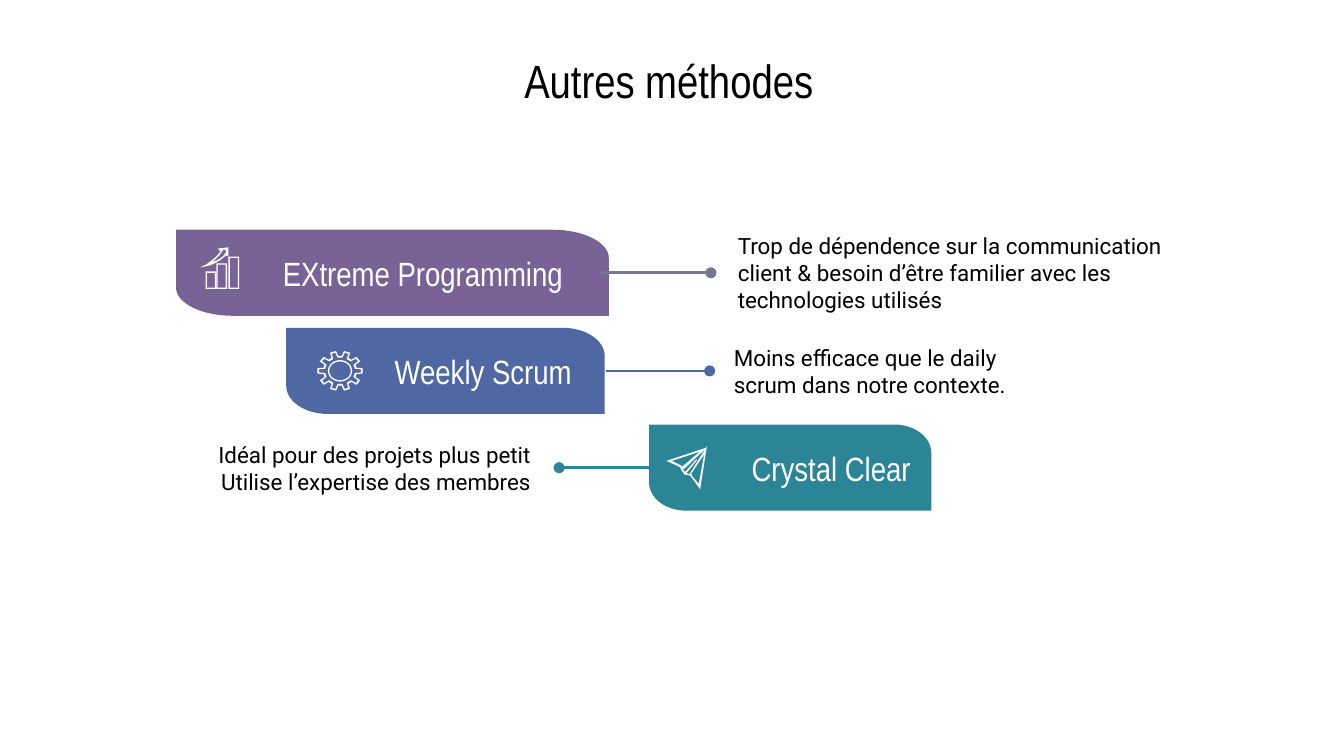
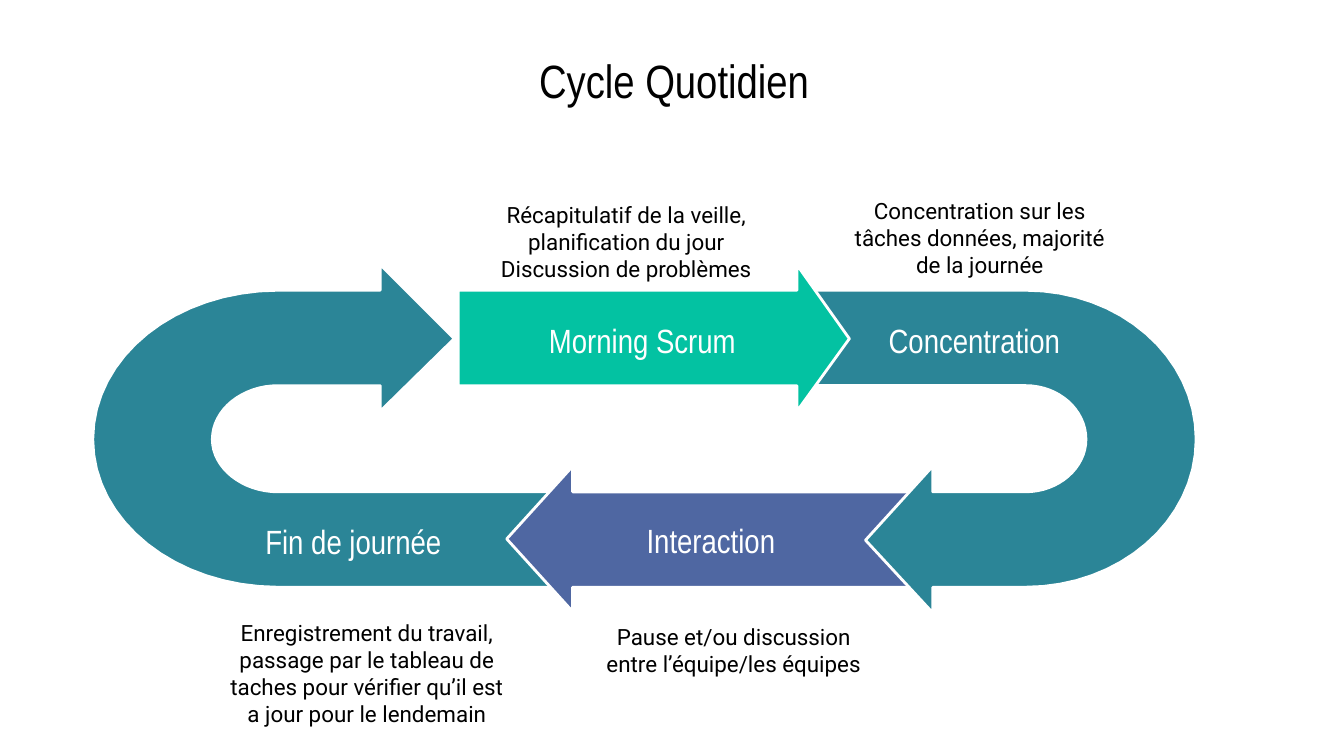
"""Build two slides: other agile methods and the daily work cycle."""
from copy import deepcopy
from math import cos, radians, sin

from lxml import etree
from pptx import Presentation
from pptx.dml.color import RGBColor
from pptx.enum.shapes import MSO_CONNECTOR, MSO_SHAPE
from pptx.enum.text import MSO_ANCHOR, MSO_AUTO_SIZE, PP_ALIGN
from pptx.oxml.ns import qn
from pptx.util import Inches, Pt

LEFT, CENTER, RIGHT = PP_ALIGN.LEFT, PP_ALIGN.CENTER, PP_ALIGN.RIGHT
TOP, MIDDLE = MSO_ANCHOR.TOP, MSO_ANCHOR.MIDDLE
ROUNDED, STRAIGHT = MSO_SHAPE.ROUNDED_RECTANGLE, MSO_CONNECTOR.STRAIGHT
NO_AUTOFIT = MSO_AUTO_SIZE.NONE

COLORS = {
    "black": "000000",
    "white": "FFFFFF",
    "purple": "796295",
    "mauve": "777693",
    "blue": "4F67A2",
    "teal": "2B8597",
    "green": "03C2A2",
}
HEADING, BODY = "Arial Narrow", "Roboto"
TITLE_BOX = (0.53, 0.33, 8.97, 0.53)


def write(shape, text, font=BODY, size=12, color="black", align=CENTER,
          anchor=MIDDLE, indent=0.1):
    frame = shape.text_frame
    frame.word_wrap = True
    frame.auto_size = NO_AUTOFIT
    frame.vertical_anchor = anchor
    frame.margin_left = Inches(indent)
    frame.margin_right = frame.margin_top = frame.margin_bottom = Inches(0.1)
    paragraph = frame.paragraphs[0]
    paragraph.text = text
    paragraph.alignment = align
    for run in paragraph.runs:
        run.font.name = font
        run.font.size = Pt(size)
        run.font.color.rgb = RGBColor.from_string(COLORS[color])
    for line_break in paragraph._p.findall(qn("a:br")):
        line_break.append(deepcopy(paragraph.runs[0]._r.rPr))


def draw_outline(slide, contours, fill, border=None):
    """Draw closed contours; a step holds a point or the six numbers of a Bézier curve."""
    builder = None
    for start, *steps in contours:
        points, pen = [], start
        for step in steps:
            if len(step) == 2:
                points.append(step)
            else:
                knots = (pen, step[:2], step[2:4], step[4:])
                for i in range(1, 17):
                    t = i / 16
                    weights = ((1 - t) ** 3, 3 * t * (1 - t) ** 2, 3 * t * t * (1 - t), t ** 3)
                    points.append([sum(w * k[axis] for w, k in zip(weights, knots))
                                   for axis in (0, 1)])
            pen = step[-2:]
        origin = [Inches(v) for v in start]
        if builder is None:
            builder = slide.shapes.build_freeform(*origin, scale=1.0)
        else:
            builder.move_to(*origin)
        builder.add_line_segments([(Inches(x), Inches(y)) for x, y in points], close=True)
    shape = builder.convert_to_shape()
    shape.shadow.inherit = False
    shape.fill.solid()
    shape.fill.fore_color.rgb = RGBColor.from_string(COLORS[fill])
    if border:
        shape.line.color.rgb = RGBColor.from_string(COLORS[border])
        shape.line.width = Pt(1.5)
    else:
        shape.line.fill.background()


deck = Presentation()
deck.slide_width = Inches(10)
deck.slide_height = deck.slide_width * 9 // 16
slides = []
for heading in ("Autres méthodes ", "Cycle Quotidien"):
    slide = deck.slides.add_slide(deck.slide_layouts[5])
    title = slide.shapes.title
    title.left, title.top, title.width, title.height = [Inches(v) for v in TITLE_BOX]
    write(title, heading, font=HEADING, size=25)
    slides.append(slide)
methods, cycle = slides

bars = []
for left, top in ((1.7, 1.91), (1.61, 1.96), (1.53, 2.02)):
    bars.append([
        [(x, y), (x, bottom), (right, bottom), (right, y)]
        for x, y, right, bottom in (
            (left, top, left + 0.08, 2.15),
            (left + 0.01, top + 0.01, left + 0.07, 2.14),
        )
    ])
growth_arrow = [
    [(1.68, 1.86), (1.68, 1.88), (1.67, 1.89), (1.67, 1.9, 1.64, 1.93, 1.58, 1.95),
     (1.6, 1.93, 1.64, 1.9, 1.65, 1.87), (1.66, 1.87), (1.65, 1.86)],
    [(1.7, 1.84), (1.62, 1.85), (1.64, 1.87), (1.61, 1.92, 1.53, 1.97, 1.53, 1.97),
     (1.49, 1.99), (1.54, 1.98), (1.62, 1.96, 1.67, 1.91, 1.68, 1.9), (1.7, 1.91)],
]

gear = []
for tip, root, tip_half, root_half in ((1, 0.74, 8, 12), (0.92, 0.66, 5, 9)):
    corners = ((root, -root_half), (tip, -tip_half), (tip, tip_half), (root, root_half))
    gear.append([
        (2.53 + 0.17 * radius * sin(radians(tooth + offset)),
         2.76 - 0.15 * radius * cos(radians(tooth + offset)))
        for tooth in range(18, 360, 36) for radius, offset in corners
    ])
for rx, ry in ((0.09, 0.08), (0.08, 0.07)):
    gear.append([(2.53 + rx * cos(radians(a)), 2.76 + ry * sin(radians(a)))
                 for a in range(0, 360, 10)])

plane = [
    [[(5.26, 3.33), (4.96, 3.43), (5.09, 3.49)], [(5.21, 3.36), (5.08, 3.47), (5, 3.43)]],
    [[(5.26, 3.32), (5.13, 3.53), (5.21, 3.64)], [(5.24, 3.38), (5.2, 3.6), (5.14, 3.53)]],
    [[(5.07, 3.47), (5.06, 3.48), (5.09, 3.53), (5.14, 3.54), (5.15, 3.53), (5.1, 3.52)]],
    [[(5.18, 3.42), (5.09, 3.52), (5.1, 3.53), (5.19, 3.42)]],
]

method_rows = [
    ("EXtreme Programming ", "purple", (1.31, 1.71, 3.22), (1.88, 1.83, 2.59),
     "Trop de dépendence sur la communication client & besoin d’être familier avec les "
     "technologies utilisés", (5.29, 1.77, 3.86), LEFT,
     "mauve", (4.47, 5.29, 2.03), [*bars, growth_arrow]),
    ("Weekly Scrum", "blue", (2.13, 2.44, 2.37), (2.69, 2.56, 1.81),
     "Moins efficace que le daily scrum dans notre contexte.", (5.26, 2.5, 2.72), LEFT,
     "blue", (4.51, 5.28, 2.76), [gear]),
    ("Crystal Clear", "teal", (4.83, 3.16, 2.1), (5.46, 3.28, 1.45),
     "Idéal pour des projets plus petit\nUtilise l’expertise des membres",
     (-0.3, 3.22, 4.35), RIGHT,
     "teal", (4.84, 4.16, 3.48), plane),
]
for (name, color, banner, name_box, remark, remark_box, align,
     link_color, (link_from, link_to, link_y), icon) in method_rows:
    left, top, width = banner
    right, bottom = left + width, top + 0.64
    rx, ry = 0.13 * width, 0.21
    draw_outline(methods, [[
        (left, top), (left, bottom - ry),
        (left, bottom - 0.45 * ry, left + 0.45 * rx, bottom, left + rx, bottom),
        (right, bottom), (right, top + ry),
        (right, top + 0.45 * ry, right - 0.45 * rx, top, right - rx, top),
    ]], color)
    for part in icon:
        draw_outline(methods, part, "white")
    label = methods.shapes.add_textbox(*[Inches(v) for v in (*name_box, 0.4)])
    write(label, name, font=HEADING, size=18, color="white")

    comment = methods.shapes.add_shape(ROUNDED, *[Inches(v) for v in (*remark_box, 0.52)])
    comment.adjustments[0] = 0
    comment.shadow.inherit = False
    comment.fill.background()
    comment.line.fill.background()
    write(comment, remark, align=align, indent=0.2)

    link = methods.shapes.add_connector(
        STRAIGHT, Inches(link_from), Inches(link_y), Inches(link_to), Inches(link_y))
    link.line.color.rgb = RGBColor.from_string(COLORS[link_color])
    link.line.width = Pt(1.5)
    etree.SubElement(link.line._get_or_add_ln(), qn("a:tailEnd"), type="oval")
    etree.SubElement(link._element.spPr, qn("a:effectLst"))

day_end_arrow = [
    (4.51, 4.37), (4.51, 3.66), (2.07, 3.66), (1.8, 3.66, 1.58, 3.48, 1.58, 3.27),
    (1.58, 3.05, 1.8, 2.87, 2.07, 2.87), (2.83, 2.87), (2.83, 3.06), (3.38, 2.52),
    (2.83, 1.97), (2.83, 2.16), (2.07, 2.16), (1.31, 2.16, 0.69, 2.65, 0.69, 3.27),
    (0.69, 3.88, 1.31, 4.37, 2.07, 4.37),
]
interaction_arrow = [
    (4.26, 3.47), (3.77, 4.01), (4.26, 4.55), (4.26, 4.37), (6.92, 4.37), (6.92, 3.66),
    (4.26, 3.66),
]
focus_arrow = [
    (5.41, 2.16), (5.41, 2.87), (7.63, 2.87), (7.88, 2.87, 8.08, 3.05, 8.08, 3.27),
    (8.08, 3.48, 7.88, 3.66, 7.63, 3.66), (6.94, 3.66), (6.94, 3.47), (6.44, 4.02),
    (6.94, 4.56), (6.94, 4.37), (7.63, 4.37), (8.33, 4.37, 8.9, 3.88, 8.9, 3.27),
    (8.9, 2.65, 8.33, 2.16, 7.63, 2.16),
]
morning_arrow = [
    (5.93, 1.97), (5.93, 2.16), (3.41, 2.16), (3.41, 2.87), (5.93, 2.87), (5.93, 3.06),
    (6.32, 2.52),
]
for arrow, color in ((day_end_arrow, "teal"), (interaction_arrow, "blue"),
                     (focus_arrow, "teal"), (morning_arrow, "green")):
    draw_outline(cycle, [arrow], color, border="white")

stage_remarks = [
    ("Enregistrement du travail, passage par le tableau de taches pour vérifier qu’il est "
     "a jour pour le lendemain", 1.59, 4.51, 0.95),
    ("Récapitulatif de la veille, planification du jour\nDiscussion de problèmes",
     3.52, 1.4, 0.73),
    ("Concentration sur les tâches données, majorité de la journée", 6.15, 1.37, 0.79),
    ("Pause et/ou discussion entre l’équipe/les équipes", 4.32, 4.54, 0.58),
]
for remark, left, top, height in stage_remarks:
    comment = cycle.shapes.add_textbox(*[Inches(v) for v in (left, top, 2.28, height)])
    write(comment, remark, anchor=TOP)

stages = [
    ("Concentration", 5.61, 2.2, 3.28),
    ("Interaction", 3.79, 3.69, 3),
    ("Fin de journée", 1.13, 3.7, 3),
    ("Morning Scrum", 3.61, 2.2, 2.34),
]
for stage, left, top, width in stages:
    label = cycle.shapes.add_textbox(*[Inches(v) for v in (left, top, width, 0.66)])
    write(label, stage, font=HEADING, size=18, color="white")

deck.save("out.pptx")
